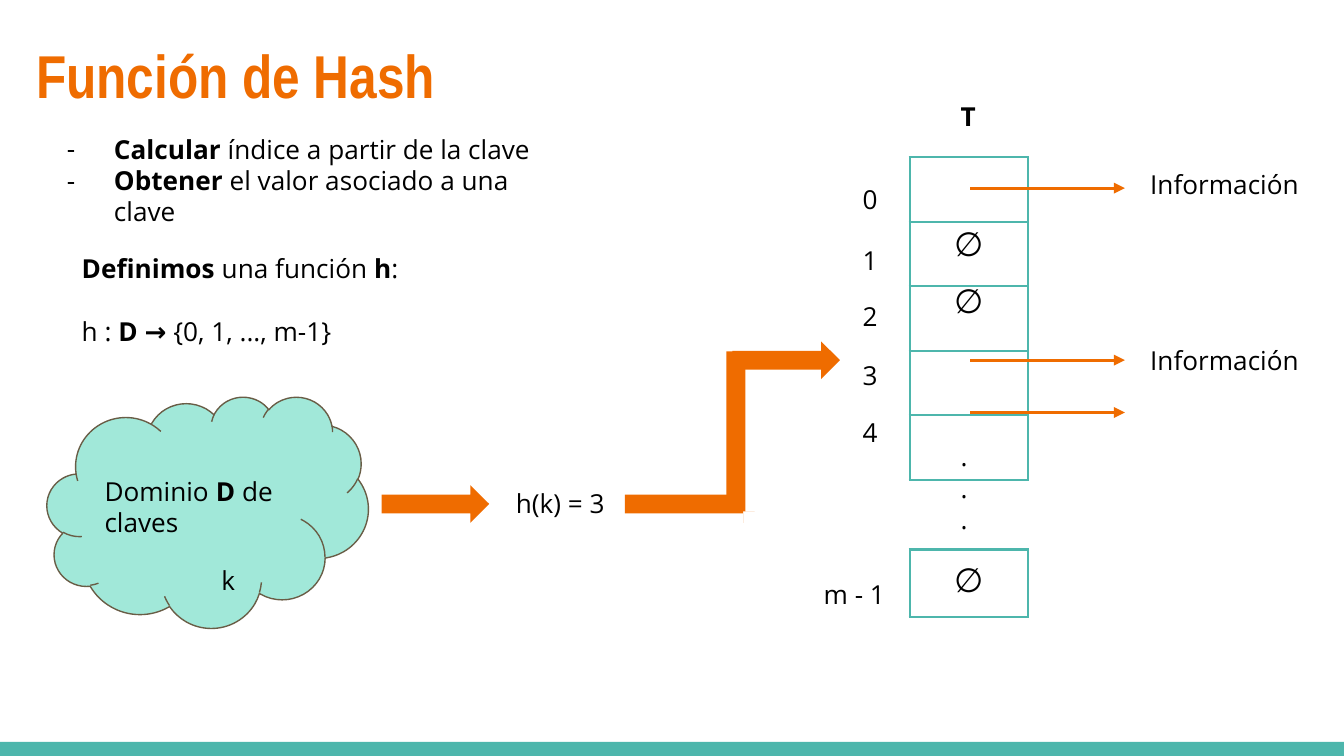
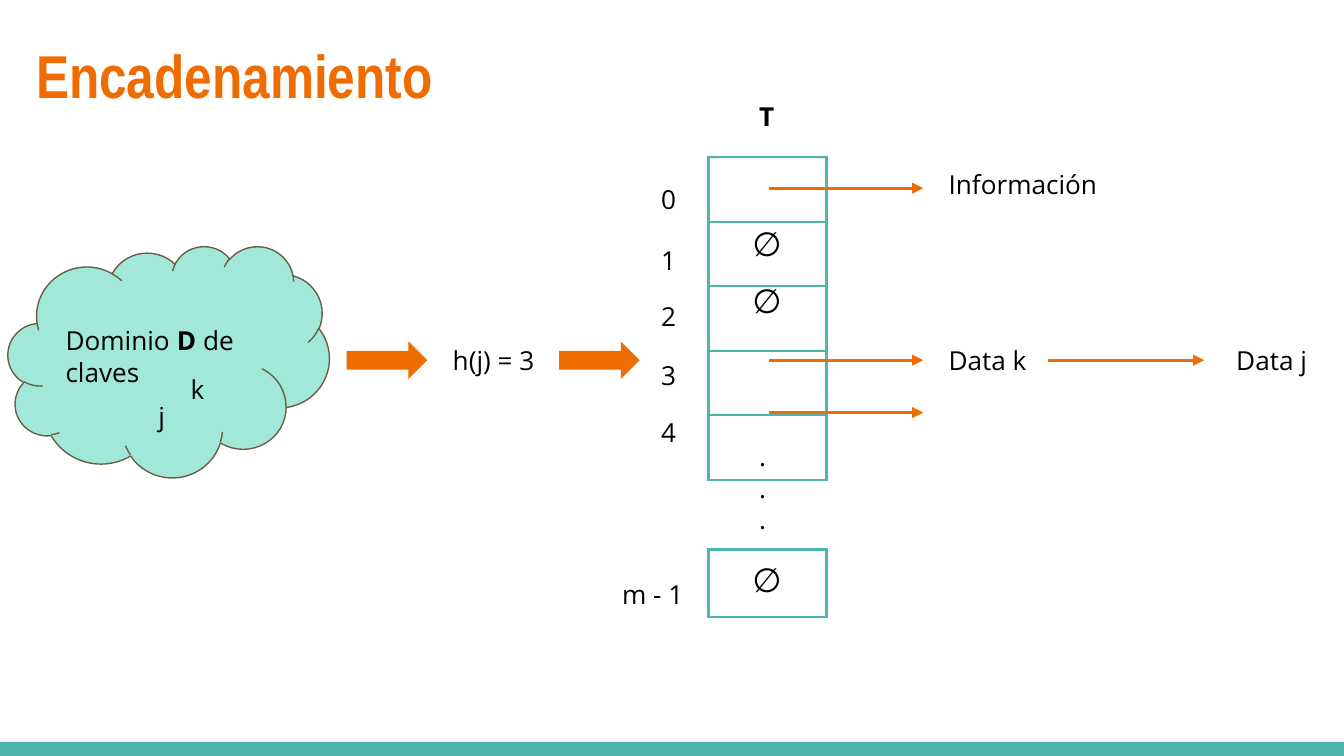
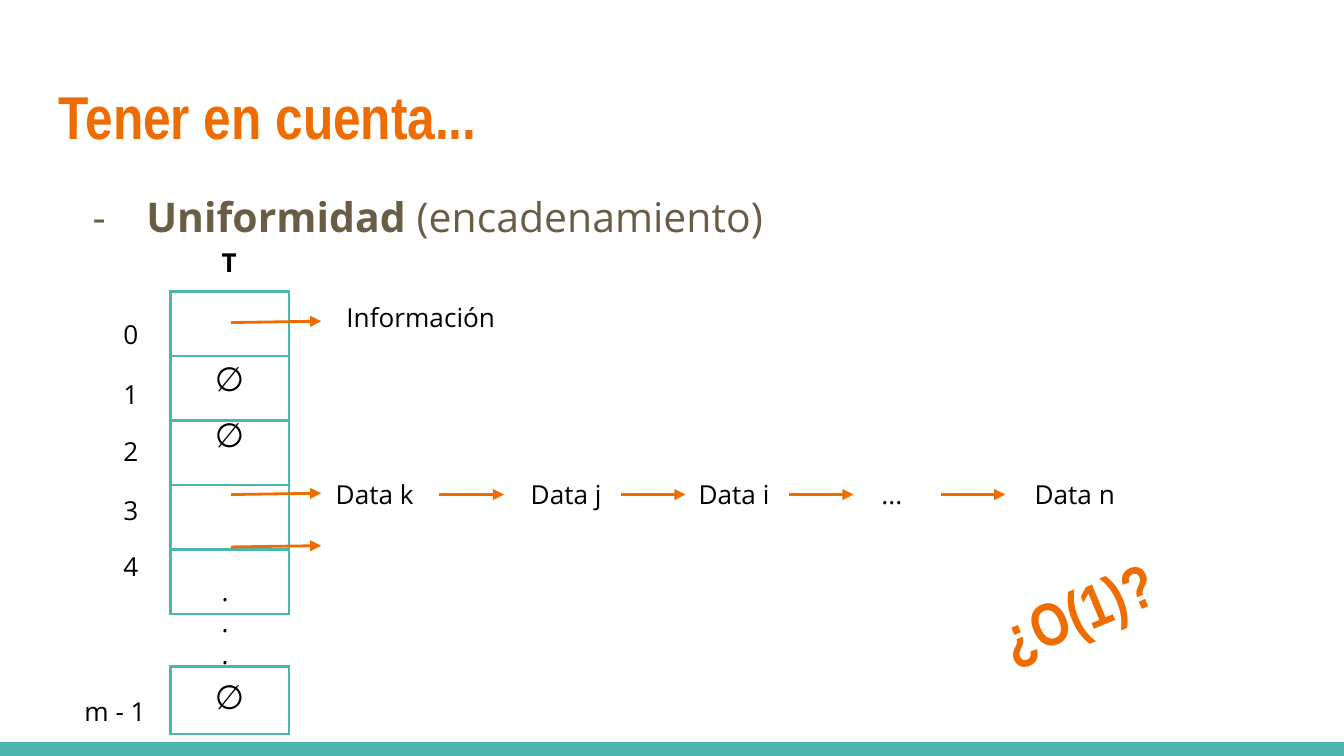
from dataclasses import dataclass
from typing import Optional

from lxml import etree
from pptx import Presentation
from pptx.dml.color import RGBColor
from pptx.enum.shapes import MSO_CONNECTOR, MSO_SHAPE
from pptx.enum.text import MSO_ANCHOR, MSO_AUTO_SIZE, PP_ALIGN
from pptx.oxml.ns import qn
from pptx.util import Inches, Pt

RECTANGLE = MSO_SHAPE.RECTANGLE
CLOUD = MSO_SHAPE.CLOUD
RIGHT_ARROW = MSO_SHAPE.RIGHT_ARROW
STRAIGHT = MSO_CONNECTOR.STRAIGHT
TOP = MSO_ANCHOR.TOP
MIDDLE = MSO_ANCHOR.MIDDLE
LEFT = PP_ALIGN.LEFT
GROW = MSO_AUTO_SIZE.SHAPE_TO_FIT_TEXT
FIXED = MSO_AUTO_SIZE.NONE


@dataclass(frozen=True)
class Theme:
    orange: str = "EF6C00"
    teal: str = "4DB6AC"
    mint: str = "A1E8D9"
    brown: str = "695D46"
    black: str = "000000"
    heading_font: str = "Arial Narrow"
    body_font: str = "Open Sans"
    title_size: float = 32.4
    body_size: float = 21.9
    label_size: float = 14
    empty_size: float = 18
    stroke: float = 1.5
    outline: float = 0.75


THEME = Theme()


@dataclass(frozen=True)
class TextStyle:
    size: float = THEME.label_size
    color: str = THEME.black
    font: str = THEME.body_font
    bold: bool = False
    line_spacing: Optional[float] = None
    space_after: float = 0
    bullet_indent: float = 0
    anchor: MSO_ANCHOR = TOP
    auto_size: MSO_AUTO_SIZE = GROW


LABEL = TextStyle()
INDEX = TextStyle(line_spacing=1.5)
HEADING = TextStyle(bold=True)
EMPTY = TextStyle(size=THEME.empty_size)
BULLETS = TextStyle(bullet_indent=0.35)
DEFINITION = TextStyle(space_after=16.6)
IN_CLOUD = TextStyle(anchor=MIDDLE, auto_size=FIXED)
TITLE = TextStyle(THEME.title_size, THEME.orange, THEME.heading_font, True,
                  auto_size=FIXED)
BODY = TextStyle(THEME.body_size, THEME.brown, line_spacing=0.95,
                 bullet_indent=0.4, auto_size=FIXED)


@dataclass(frozen=True)
class Label:
    text: str
    left: float
    top: float
    width: float = 1.43
    height: float = 0.44
    style: TextStyle = LABEL
    rotation: float = 0


@dataclass(frozen=True)
class Pointer:
    left: float
    top: float
    width: float
    rise: float = 0


@dataclass(frozen=True)
class BlockArrow:
    left: float
    top: float
    width: float
    head: float = 0.5
    rotation: float = 0


@dataclass(frozen=True)
class HashTable:
    left: float
    top: float
    last_top: float
    heading_top: float
    pointer_width: float = 1.15
    pointer_rise: float = 0


COLUMN_WIDTH = 0.88
ROW_HEIGHT = 0.48
LAST_ROW_HEIGHT = 0.5
ROW_COUNT = 5
INDEX_OFFSETS = (-0.02, 0.43, 0.85, 1.29, 1.71)
EMPTY_ROWS = (1, 2)
POINTER_OFFSETS = (0.23, 1.51, 1.9)


def rgb(color: str) -> RGBColor:
    return RGBColor.from_string(color)


def add_bullet(paragraph, style: TextStyle) -> None:
    properties = paragraph._p.get_or_add_pPr()
    properties.set("marL", str(Inches(0.5)))
    properties.set("indent", str(-Inches(style.bullet_indent)))
    bullet_color = etree.SubElement(properties, qn("a:buClr"))
    etree.SubElement(bullet_color, qn("a:srgbClr"), val=style.color)
    etree.SubElement(properties, qn("a:buFont"), typeface=style.font)
    etree.SubElement(properties, qn("a:buChar"), char="-")


def write(frame, text: str, style: TextStyle) -> None:
    """Fill a text frame; each line is a paragraph, and *marks* enclose bold words."""
    frame.word_wrap = True
    frame.auto_size = style.auto_size
    frame.vertical_anchor = style.anchor
    frame.margin_left = frame.margin_right = Inches(0.1)
    frame.margin_top = frame.margin_bottom = Inches(0.1)
    lines = text.split("\n")
    for number, line in enumerate(lines):
        paragraph = frame.add_paragraph() if number else frame.paragraphs[0]
        paragraph.alignment = LEFT
        if style.line_spacing:
            paragraph.line_spacing = style.line_spacing
        if style.space_after and number < len(lines) - 1:
            paragraph.space_after = Pt(style.space_after)
        if style.bullet_indent:
            add_bullet(paragraph, style)
        for position, words in enumerate(line.split("*")):
            if not words:
                continue
            run = paragraph.add_run()
            run.text = words
            run.font.size = Pt(style.size)
            run.font.name = style.font
            run.font.color.rgb = rgb(style.color)
            run.font.bold = style.bold or position % 2 == 1


def draw_label(slide, label: Label) -> None:
    box = slide.shapes.add_textbox(Inches(label.left), Inches(label.top),
                                   Inches(label.width), Inches(label.height))
    box.rotation = label.rotation
    write(box.text_frame, label.text, label.style)


def draw_shape(slide, kind: MSO_SHAPE, left: float, top: float, width: float,
               height: float, fill: str):
    shape = slide.shapes.add_shape(kind, Inches(left), Inches(top),
                                   Inches(width), Inches(height))
    shape.shadow.inherit = False
    shape.fill.solid()
    shape.fill.fore_color.rgb = rgb(fill)
    shape.line.fill.background()
    return shape


def draw_block_arrow(slide, arrow: BlockArrow) -> None:
    shape = draw_shape(slide, RIGHT_ARROW, arrow.left, arrow.top, arrow.width,
                       0.28, THEME.orange)
    shape.adjustments[0] = 0.5
    shape.adjustments[1] = arrow.head
    shape.rotation = arrow.rotation


def draw_pointer(slide, pointer: Pointer) -> None:
    connector = slide.shapes.add_connector(
        STRAIGHT, Inches(pointer.left), Inches(pointer.top),
        Inches(pointer.left + pointer.width), Inches(pointer.top - pointer.rise))
    connector.line.color.rgb = rgb(THEME.orange)
    connector.line.width = Pt(THEME.stroke)
    etree.SubElement(connector.line._get_or_add_ln(), qn("a:tailEnd"), type="triangle")
    etree.SubElement(connector._element.spPr, qn("a:effectLst"))


def draw_domain(slide, left: float, top: float) -> None:
    cloud = draw_shape(slide, CLOUD, left, top, 2.39, 1.72, THEME.mint)
    cloud.line.color.rgb = rgb(THEME.brown)
    cloud.line.width = Pt(THEME.outline)
    write(cloud.text_frame, "Dominio* D *de claves", IN_CLOUD)


def outline_cell(cell) -> None:
    properties = cell._tc.get_or_add_tcPr()
    for side in ("a:lnL", "a:lnR", "a:lnT", "a:lnB"):
        border = etree.SubElement(properties, qn(side), w=str(Pt(THEME.stroke)))
        fill = etree.SubElement(border, qn("a:solidFill"))
        etree.SubElement(fill, qn("a:srgbClr"), val=THEME.teal)
    cell.fill.background()


def draw_slots(slide, left: float, top: float, count: int, height: float) -> None:
    table = slide.shapes.add_table(count, 1, Inches(left), Inches(top),
                                   Inches(COLUMN_WIDTH), Inches(height * count)).table
    table.first_row = False
    table.horz_banding = False
    for row in table.rows:
        row.height = Inches(height)
        outline_cell(row.cells[0])


def draw_hash_table(slide, table: HashTable) -> None:
    left, top, last_top = table.left, table.top, table.last_top
    draw_slots(slide, left, top, ROW_COUNT, ROW_HEIGHT)
    draw_slots(slide, left, last_top, 1, LAST_ROW_HEIGHT)
    labels = [
        Label("T", left + 0.28, table.heading_top, 0.49, style=HEADING),
        Label(".\n.\n.", left + 0.28, top + 2.01, 0.31, 0.91),
        Label("m - 1", left - 0.74, last_top, 0.88, style=INDEX),
    ]
    labels += [Label(str(index), left - 0.45, top + offset, 0.31, style=INDEX)
               for index, offset in enumerate(INDEX_OFFSETS)]
    empty_tops = [top + INDEX_OFFSETS[row] - 0.04 for row in EMPTY_ROWS]
    labels += [Label("∅", left + 0.23, empty_top, 0.31, 0.5, EMPTY)
               for empty_top in (*empty_tops, last_top - 0.03)]
    for label in labels:
        draw_label(slide, label)
    for offset in POINTER_OFFSETS:
        draw_pointer(slide, Pointer(left + 0.45, top + offset,
                                    table.pointer_width, table.pointer_rise))


def new_slide(deck, title: Label):
    slide = deck.slides.add_slide(deck.slide_layouts[6])
    draw_shape(slide, RECTANGLE, 0, 5.52, 10, 0.11, THEME.teal)
    draw_label(slide, title)
    return slide


def draw_all(slide, labels=(), block_arrows=(), pointers=()) -> None:
    for arrow in block_arrows:
        draw_block_arrow(slide, arrow)
    for pointer in pointers:
        draw_pointer(slide, pointer)
    for label in labels:
        draw_label(slide, label)


def build_hash_function(deck) -> None:
    slide = new_slide(deck, Label("Función de Hash", 0.17, 0.18, 3.37, 0.77, TITLE))
    draw_hash_table(slide, HashTable(6.77, 1.17, 4.09, 0.65))
    draw_domain(slide, 0.35, 2.95)
    draw_all(
        slide,
        labels=(
            Label("*Calcular* índice a partir de la clave\n"
                  "*Obtener* el valor asociado a una clave",
                  0.25, 0.89, 4.14, 0.67, BULLETS),
            Label("*Definimos* una función *h*:\nh : *D → *{0, 1, ..., m-1}",
                  0.51, 1.78, 4.14, 0.91, DEFINITION),
            Label("k", 1.55, 4.1, 0.2),
            Label("h(k) = 3", 3.74, 3.53, 0.88),
            Label("Información", 8.46, 1.15),
            Label("Información", 8.46, 2.46),
        ),
        block_arrows=(
            BlockArrow(2.84, 3.61, 0.8),
            BlockArrow(5.45, 2.54, 0.8),
            BlockArrow(4.65, 3.61, 0.88, head=0),
            BlockArrow(4.88, 3.07, 1.19, head=0, rotation=90),
        ),
    )


def build_chaining(deck) -> None:
    slide = new_slide(deck, Label("Encadenamiento", 0.17, 0.18, 4.03, 0.77, TITLE))
    draw_hash_table(slide, HashTable(5.27, 1.17, 4.09, 0.65))
    draw_domain(slide, 0.06, 1.83)
    draw_all(
        slide,
        labels=(
            Label("k", 1.32, 2.68, 0.42),
            Label("j", 1.08, 2.88, 0.42),
            Label("h(j) = 3", 3.27, 2.46, 0.88),
            Label("Información", 6.96, 1.15),
            Label("Data k", 6.96, 2.46),
            Label("Data j", 9.1, 2.46, 0.9),
        ),
        block_arrows=(BlockArrow(2.58, 2.54, 0.6), BlockArrow(4.16, 2.54, 0.6)),
        pointers=(Pointer(7.8, 2.68, 1.16),),
    )


def build_considerations(deck) -> None:
    slide = new_slide(deck, Label("Tener en cuenta...", 0.34, 0.49, 9.32, 0.77, TITLE))
    draw_hash_table(slide, HashTable(1.27, 2.17, 4.96, 1.73, 0.67, 0.01))
    chain_top = 3.46
    draw_all(
        slide,
        labels=(
            Label("*Uniformidad* (encadenamiento)", 0.49, 1.35, 5.58, 0.55, BODY),
            Label("Información", 2.48, 2.14),
            Label("Data k", 2.4, chain_top),
            Label("Data j", 3.85, chain_top, 0.78),
            Label("Data i", 5.1, chain_top),
            Label("...", 6.46, chain_top, 0.78),
            Label("Data n", 7.6, chain_top, 1.14),
            Label("¿O(1)?", 7.28, 3.93, 2.62, 0.77, TITLE, rotation=337.4),
        ),
        pointers=[Pointer(left, chain_top + 0.22, 0.48)
                  for left in (3.27, 4.62, 5.87, 7)],
    )


def main() -> None:
    deck = Presentation()
    deck.slide_width = Inches(10)
    deck.slide_height = deck.slide_width * 9 // 16
    build_hash_function(deck)
    build_chaining(deck)
    build_considerations(deck)
    deck.save("out.pptx")


if __name__ == "__main__":
    main()
